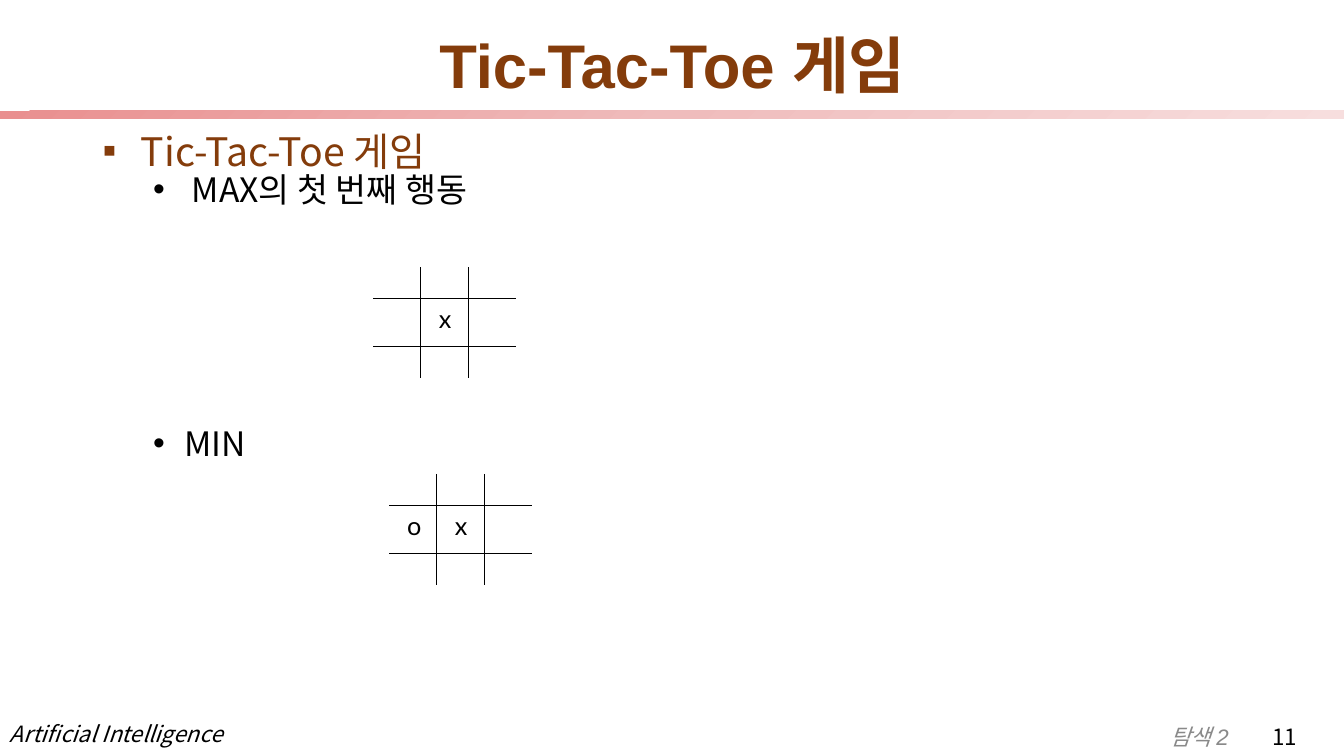
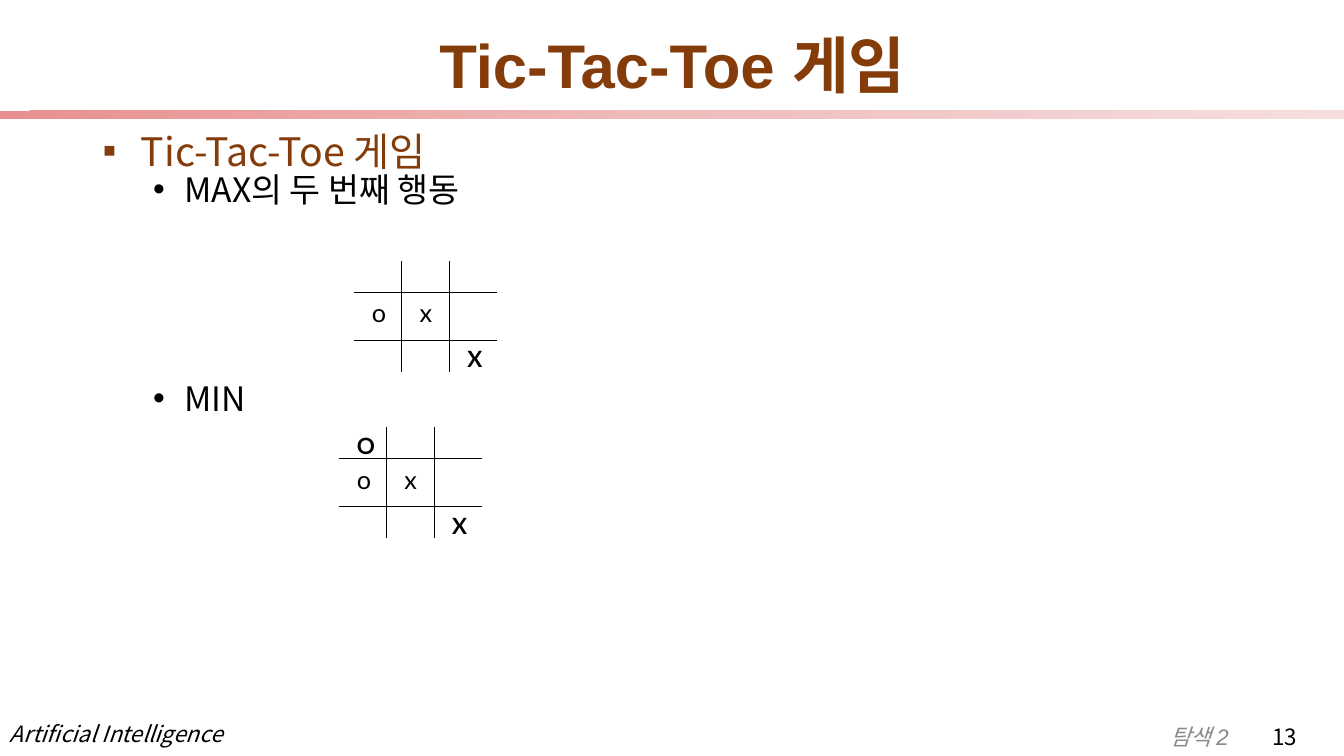
from copy import deepcopy

from pptx import Presentation
from pptx.dml.color import RGBColor
from pptx.enum.shapes import MSO_CONNECTOR, MSO_SHAPE
from pptx.enum.text import MSO_ANCHOR, PP_ALIGN
from pptx.oxml.ns import qn
from pptx.oxml.xmlchemy import OxmlElement
from pptx.util import Inches, Pt

BLACK = "000000"
GREY = "898989"
BROWN = "843C0B"
BAND_STOPS = [(0, "E98F8F"), (0.5, "EFBCBC"), (1, "F7DEDE")]
BODY_FONT = "Noto Sans CJK KR"
TITLE_FONT = "Arial"
MARK_FONT = "Lato"

TOPIC = "Tic-Tac-Toe 게임"
BOARD_WIDTH = 1.42
BOARD_HEIGHT = 1.1
CELL = BOARD_WIDTH / 3
EDGE_ROW = (BOARD_HEIGHT - CELL) / 2
MARK_INDENT = 0.08


def color(value):
    return RGBColor.from_string(value)


def format_text(para, text, size=24, font=BODY_FONT, fill=BLACK, bold=False,
                italic=False, align=PP_ALIGN.LEFT, spacing=None, before=0):
    span = para.add_run()
    span.text = text
    span.font.size = Pt(size)
    span.font.name = font
    span.font.bold = bold
    span.font.italic = italic
    span.font.color.rgb = color(fill)
    east_asian = OxmlElement("a:ea")
    east_asian.set("typeface", BODY_FONT)
    span.font._element.find(qn("a:latin")).addnext(east_asian)
    para.alignment = align
    para.space_before = Pt(before)
    if spacing:
        para.line_spacing = spacing


def add_box(shapes, left, top, width, height, anchor=MSO_ANCHOR.TOP):
    box = shapes.add_textbox(Inches(left), Inches(top), Inches(width), Inches(height))
    box.text_frame.word_wrap = True
    box.text_frame.vertical_anchor = anchor
    return box.text_frame


def add_label(shapes, text, left, top, width, height, anchor=MSO_ANCHOR.TOP, **style):
    frame = add_box(shapes, left, top, width, height, anchor)
    format_text(frame.paragraphs[0], text, **style)


def set_bullet(para, symbol, margin, hanging):
    properties = para._p.get_or_add_pPr()
    properties.set("marL", str(Inches(margin)))
    properties.set("indent", str(-Inches(hanging)))
    font = OxmlElement("a:buFont")
    font.set("typeface", "Arial")
    bullet = OxmlElement("a:buChar")
    bullet.set("char", symbol)
    properties.extend([font, bullet])


def add_outline(page, first_move, reply_gap):
    frame = add_box(page.shapes, 0.92, 1.3, 11.5, 5.84)
    heading = frame.paragraphs[0]
    format_text(heading, TOPIC, size=28, fill=BROWN, spacing=0.8)
    set_bullet(heading, "▪", 0.38, 0.38)
    for text, before in [(first_move, 2.5), ("MIN", reply_gap)]:
        para = frame.add_paragraph()
        format_text(para, text, spacing=0.8, before=before)
        set_bullet(para, "•", 0.81, 0.31)


def add_line(shapes, x1, y1, x2, y2):
    line = shapes.add_connector(MSO_CONNECTOR.STRAIGHT, Inches(x1), Inches(y1),
                                Inches(x2), Inches(y2))
    line.line.color.rgb = color(BLACK)
    line.line.width = Pt(0.75)
    line._element.spPr.append(OxmlElement("a:effectLst"))


def add_board(page, left, top, marks):
    shapes = page.shapes.add_group_shape().shapes
    row_tops = [top, top + EDGE_ROW, top + EDGE_ROW + CELL]
    for index in (1, 2):
        x = left + index * CELL
        add_line(shapes, left, row_tops[index], left + BOARD_WIDTH, row_tops[index])
        add_line(shapes, x, top, x, top + BOARD_HEIGHT)
    for mark, row, column in marks:
        newest = mark.isupper()
        add_label(shapes, mark, left + column * CELL + MARK_INDENT, row_tops[row],
                  0.32, 0.4, size=16 if newest else 18, font=MARK_FONT, bold=newest)


def add_band(page):
    band = page.shapes.add_shape(MSO_SHAPE.RECTANGLE, Inches(0), Inches(1.1),
                                 Inches(13.33), Inches(0.08))
    band.shadow.inherit = False
    band.line.fill.background()
    band.fill.gradient()
    band.fill.gradient_angle = 315
    stops = band._element.spPr.find(".//" + qn("a:gsLst"))
    stops.append(deepcopy(stops[-1]))
    for stop, (position, value) in zip(band.fill.gradient_stops, BAND_STOPS):
        stop.position = position
        stop.color.rgb = color(value)


def add_frame(page, number):
    add_label(page.shapes, "Artificial Intelligence", 0, 7.13, 2.6, 0.34,
              size=16, italic=True, spacing=0.9)
    add_band(page)
    add_label(page.shapes, "탐색 2", 11.51, 7.16, 1, 0.34, size=16,
              font=TITLE_FONT, fill=GREY, italic=True, spacing=0.9)
    add_label(page.shapes, number, 12.52, 7.16, 0.66, 0.34, size=16, spacing=0.9)
    add_label(page.shapes, TOPIC, 0.92, 0.4, 11.5, 0.6, anchor=MSO_ANCHOR.MIDDLE,
              size=44, font=TITLE_FONT, fill=BROWN, bold=True,
              align=PP_ALIGN.CENTER, spacing=0.8)


def add_game_page(deck, number, first_move, reply_gap, boards):
    page = deck.slides.add_slide(deck.slide_layouts[6])
    add_frame(page, number)
    add_outline(page, first_move, reply_gap)
    for left, top, marks in boards:
        add_board(page, left, top, marks)


def main():
    deck = Presentation()
    deck.slide_width = Inches(13.33)
    deck.slide_height = Inches(7.5)

    opening = [("x", 1, 1)]
    reply = opening + [("o", 1, 0)]
    second_move = reply + [("X", 2, 2)]
    second_reply = second_move + [("O", 0, 0)]

    add_game_page(deck, "11", " MAX의 첫 번째 행동", 158,
                  [(3.7, 2.65, opening), (3.86, 4.7, reply)])
    add_game_page(deck, "13", "MAX의 두 번째 행동", 126,
                  [(3.51, 2.59, second_move), (3.36, 4.24, second_reply)])
    deck.save("out.pptx")


if __name__ == "__main__":
    main()
